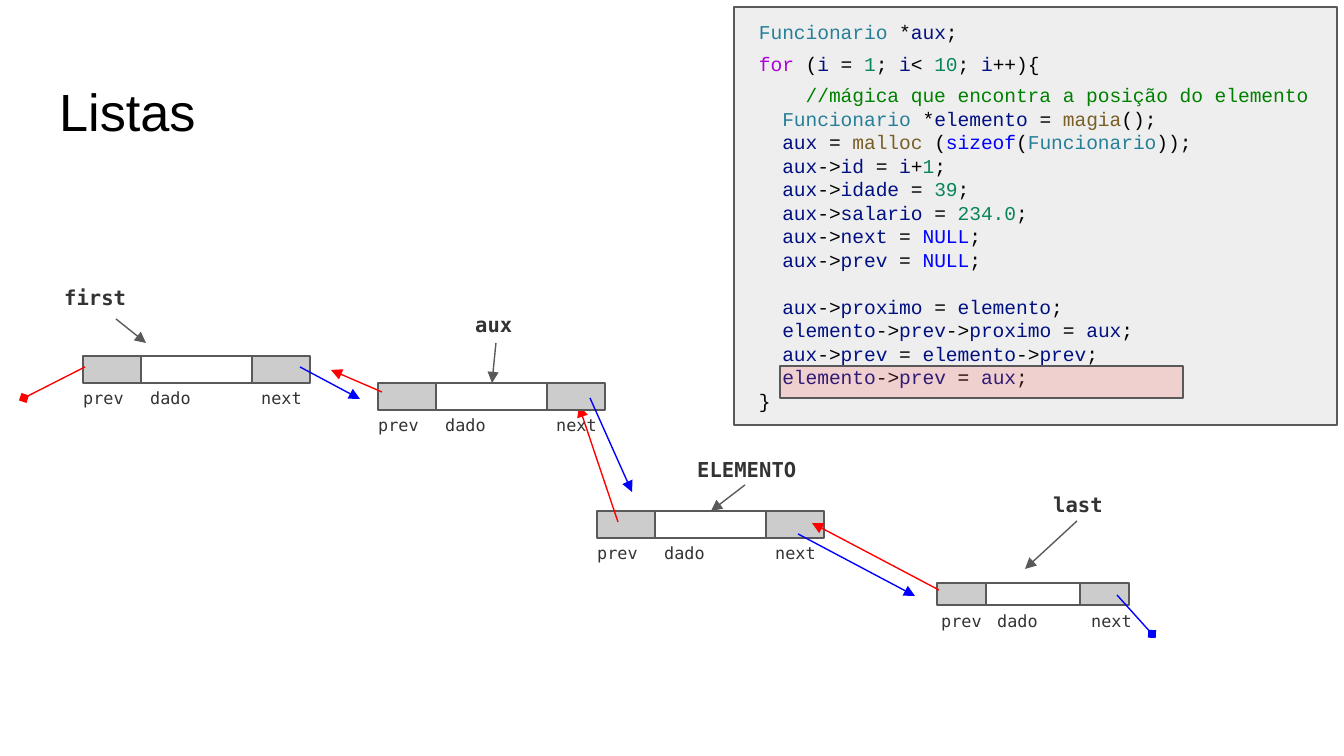
from itertools import groupby

from lxml import etree
from pptx import Presentation
from pptx.dml.color import RGBColor
from pptx.enum.shapes import MSO_CONNECTOR, MSO_SHAPE
from pptx.enum.text import MSO_ANCHOR, PP_ALIGN
from pptx.oxml.ns import qn
from pptx.util import Emu, Inches, Pt

RECTANGLE = MSO_SHAPE.RECTANGLE
STRAIGHT = MSO_CONNECTOR.STRAIGHT
LEFT = PP_ALIGN.LEFT
TOP, MIDDLE = MSO_ANCHOR.TOP, MSO_ANCHOR.MIDDLE

SLIDE_WIDTH, SLIDE_HEIGHT = 1344, 756
EMU_PER_PX = Inches(10) / SLIDE_WIDTH

BLACK = RGBColor(0x00, 0x00, 0x00)
DARK_GRAY = RGBColor(0x33, 0x33, 0x33)
OUTLINE = RGBColor(0x59, 0x59, 0x59)
CELL_GRAY = RGBColor(0xCC, 0xCC, 0xCC)
PANEL_GRAY = RGBColor(0xEE, 0xEE, 0xEE)
HIGHLIGHT = RGBColor(0xFC, 0x4B, 0x4B)
RED = RGBColor(0xFF, 0x00, 0x00)
BLUE = RGBColor(0x00, 0x00, 0xFF)
TYPE_TEAL = RGBColor(0x26, 0x7F, 0x99)
LOOP_PURPLE = RGBColor(0xAF, 0x00, 0xDB)
CALL_BROWN = RGBColor(0x79, 0x5E, 0x26)
NUMBER_GREEN = RGBColor(0x09, 0x86, 0x58)
COMMENT_GREEN = RGBColor(0x00, 0x80, 0x00)
NAME_NAVY = RGBColor(0x00, 0x10, 0x80)

WORD_COLORS = {
    "Funcionario": TYPE_TEAL, "for": LOOP_PURPLE, "magia": CALL_BROWN,
    "malloc": CALL_BROWN, "sizeof": BLUE, "NULL": BLUE,
}
CODE_LINES = [
    " Funcionario *aux;",
    " for (i = 1; i< 10; i++){",
    "     //mágica que encontra a posição do elemento",
    "   Funcionario *elemento = magia();",
    "   aux = malloc (sizeof(Funcionario));",
    "   aux->id = i+1;",
    "   aux->idade = 39;",
    "   aux->salario = 234.0;",
    "   aux->next = NULL;",
    "   aux->prev = NULL;",
    "   aux->proximo = elemento;",
    "   elemento->prev->proximo = aux;",
    "   aux->prev = elemento->prev;",
    "   elemento->prev = aux;",
    " }",
]
LOOSE_LINES = (1, 2)
LINE_AFTER_GAP = 10

WIDE_NODE = {"cells": (58, 111, 58), "height": 27, "fields": (-13, 54, 165), "field_top": 22}
NARROW_NODE = {"cells": (49, 94, 49), "height": 22, "fields": (-9, 47, 141), "field_top": 18}
NODES = [
    {"at": (597, 511), "size": WIDE_NODE, "name": "ELEMENTO", "name_at": (87, -66),
     "pointer": (148, -26, 114, 0), "next": (201, 23, 318, 85), "prev": (21, 11, -18, -105)},
    {"at": (83, 356), "size": WIDE_NODE, "name": "first", "name_at": (-32, -83),
     "pointer": (33, -37, 63, -13), "next": (217, 11, 277, 43), "prev": (2, 11, -59, 42),
     "prev_end": "diamond"},
    {"at": (937, 583), "size": NARROW_NODE, "name": "last", "name_at": (103, -103),
     "pointer": (140, -62, 88, -14), "next": (180, 12, 215, 51), "prev": (2, 7, -125, -60),
     "next_end": "diamond"},
    {"at": (378, 383), "size": WIDE_NODE, "name": "aux", "name_at": (84, -83),
     "pointer": (118, -40, 114, 0), "next": (212, 15, 254, 109), "prev": (4, 9, -47, -13)},
]


def px(*lengths):
    """Turn px lengths into EMU."""
    return [Emu(round(length * EMU_PER_PX)) for length in lengths]


def add_run(paragraph, text, font_name, size, color, bold=False):
    """Append one styled run."""
    run = paragraph.add_run()
    run.text = text
    run.font.name = font_name
    run.font.size = Pt(size)
    run.font.bold = bold
    run.font.color.rgb = color


def set_frame(frame, anchor):
    """Give a text frame equal insets and wrapping."""
    frame.word_wrap = True
    frame.vertical_anchor = anchor
    frame.margin_left = frame.margin_right = Inches(0.1)
    frame.margin_top = frame.margin_bottom = Inches(0.1)


def add_label(slide, box, text, font_name, size, color, bold=False):
    """Place a single line of text in a box."""
    frame = slide.shapes.add_textbox(*px(*box)).text_frame
    set_frame(frame, TOP)
    add_run(frame.paragraphs[0], text, font_name, size, color, bold)


def add_box(slide, box, fill=None):
    """Place an outlined rectangle, hollow unless a fill is given."""
    rectangle = slide.shapes.add_shape(RECTANGLE, *px(*box))
    rectangle.shadow.inherit = False
    rectangle.line.color.rgb = OUTLINE
    rectangle.line.width = Pt(0.75)
    if fill is None:
        rectangle.fill.background()
    else:
        rectangle.fill.solid()
        rectangle.fill.fore_color.rgb = fill
    return rectangle


def add_arrow(slide, origin, ends, color, end_style="triangle"):
    """Draw a straight arrow whose ends are relative to an origin."""
    left, top = origin
    x1, y1, x2, y2 = ends
    arrow = slide.shapes.add_connector(STRAIGHT, *px(left + x1, top + y1, left + x2, top + y2))
    arrow.line.color.rgb = color
    arrow.line.width = Pt(0.75)
    etree.SubElement(arrow.line._get_or_add_ln(), qn("a:tailEnd"), type=end_style)
    etree.SubElement(arrow._element.spPr, qn("a:effectLst"))


def add_list_node(slide, node):
    """Draw a list node with its fields, name and pointers."""
    left, top = node["at"]
    size = node["size"]
    cell_left = left
    for width, fill in zip(size["cells"], (CELL_GRAY, None, CELL_GRAY)):
        add_box(slide, (cell_left, top, width, size["height"]), fill)
        cell_left += width
    for field, offset in zip(("prev", "dado", "next"), size["fields"]):
        add_label(slide, (left + offset, top + size["field_top"], 75, 31),
                  field, "DejaVu Sans Mono", 9, DARK_GRAY)
    name_x, name_y = node["name_at"]
    add_label(slide, (left + name_x, top + name_y, 175, 27),
              node["name"], "DejaVu Sans Mono", 11, DARK_GRAY, True)
    add_arrow(slide, node["at"], node["pointer"], OUTLINE)
    add_arrow(slide, node["at"], node["next"], BLUE, node.get("next_end", "triangle"))
    add_arrow(slide, node["at"], node["prev"], RED, node.get("prev_end", "triangle"))


def color_tokens(line):
    """Yield the pieces of a code line with their colours."""
    code, slashes, comment = line.partition("//")
    for is_word, letters in groupby(code, lambda letter: letter.isalnum() or letter == "."):
        token = "".join(letters)
        if not is_word:
            yield token, BLACK
        elif token[0].isdigit():
            yield token, NUMBER_GREEN
        else:
            yield token, WORD_COLORS.get(token, NAME_NAVY)
    if slashes:
        yield slashes + comment, COMMENT_GREEN


def add_code_panel(slide, box):
    """Draw the code panel and mark its current line."""
    left, top, _, _ = box
    frame = add_box(slide, box, PANEL_GRAY).text_frame
    set_frame(frame, MIDDLE)
    for index, line in enumerate(CODE_LINES):
        paragraph = frame.add_paragraph() if index else frame.paragraphs[0]
        paragraph.alignment = LEFT
        if index in LOOSE_LINES:
            paragraph.line_spacing = 1.35
        if index == LINE_AFTER_GAP:
            paragraph.space_before = Pt(12.6)
        for token, color in color_tokens(line):
            add_run(paragraph, token, "Courier New", 10.5, color)
    marker = add_box(slide, (left + 46, top + 359, 403, 32), HIGHLIGHT)
    tint = marker.fill._xPr.find(qn("a:solidFill"))[0]
    etree.SubElement(tint, qn("a:alpha"), val="19000")


def build_lists_slide(presentation):
    """Build the linked list slide."""
    slide = presentation.slides.add_slide(presentation.slide_layouts[6])
    add_label(slide, (46, 66, 650, 85), "Listas", "Arial", 28, BLACK)
    for node in NODES:
        add_list_node(slide, node)
    add_code_panel(slide, (734, 7, 603, 418))


def main():
    """Create and save the presentation."""
    presentation = Presentation()
    presentation.slide_width, presentation.slide_height = px(SLIDE_WIDTH, SLIDE_HEIGHT)
    build_lists_slide(presentation)
    presentation.save("out.pptx")


if __name__ == "__main__":
    main()
